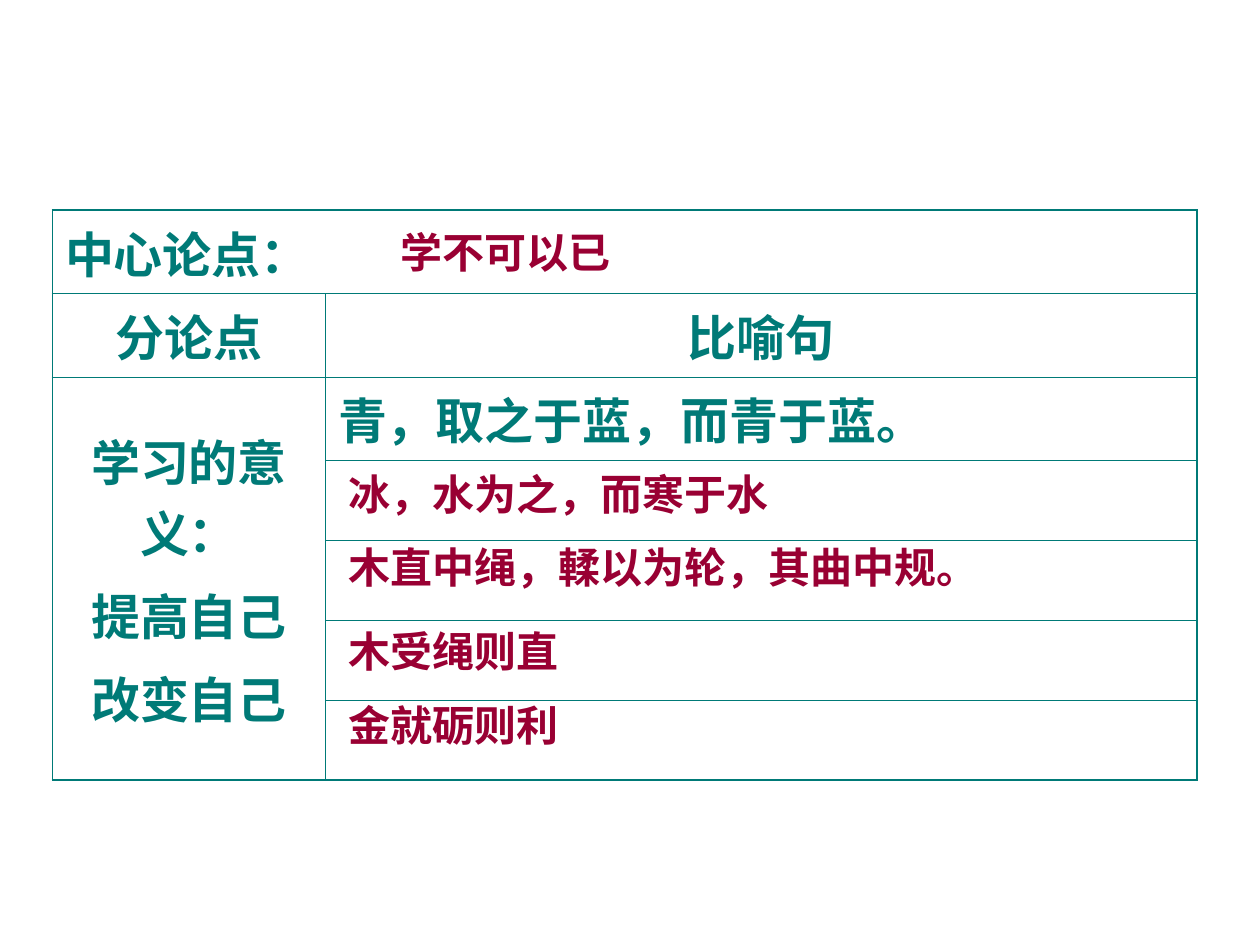
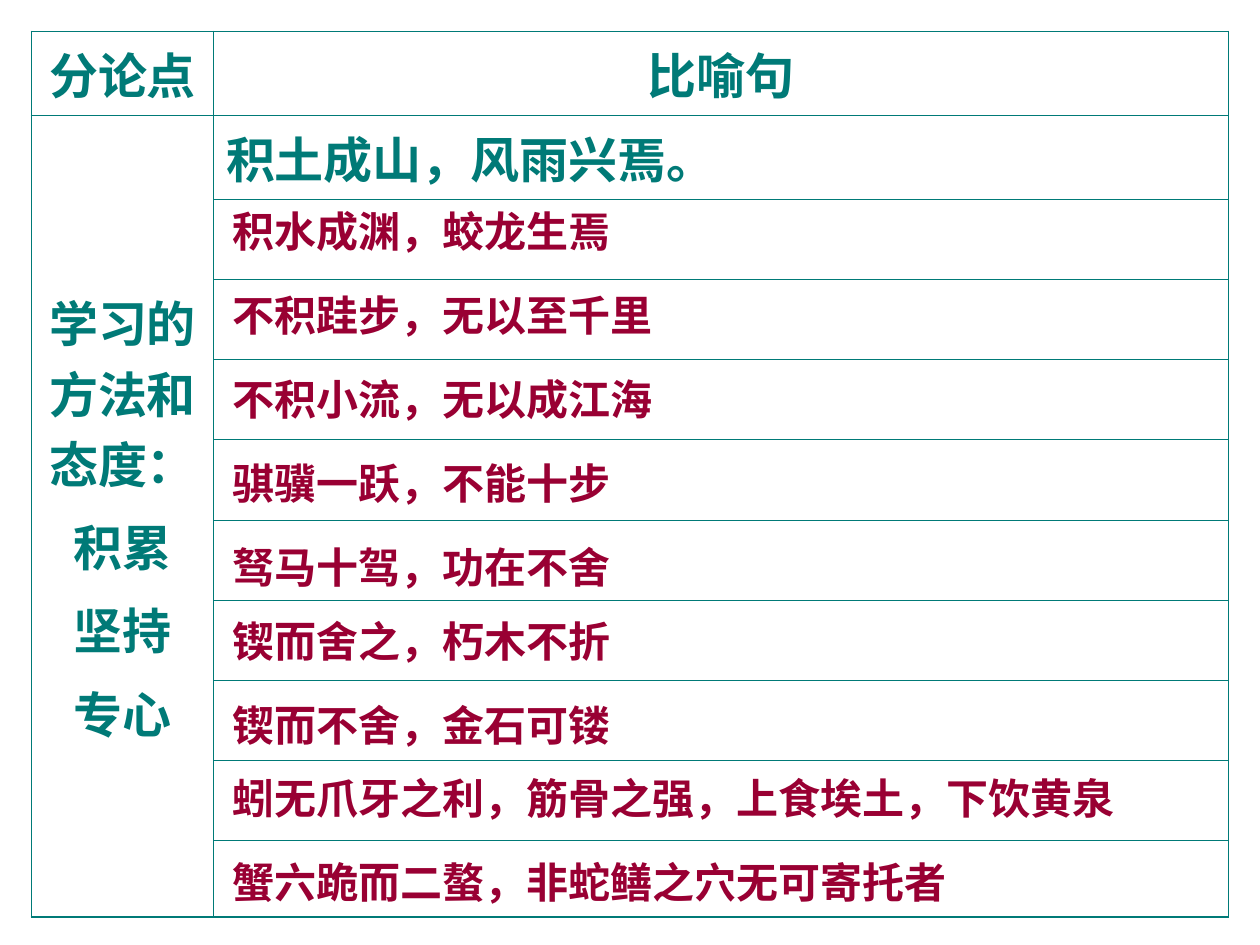
from dataclasses import dataclass

from pptx import Presentation
from pptx.dml.color import RGBColor
from pptx.enum.text import MSO_ANCHOR, MSO_AUTO_SIZE, PP_ALIGN
from pptx.oxml import parse_xml
from pptx.oxml.ns import nsdecls
from pptx.slide import Slide
from pptx.table import Table, _Cell
from pptx.text.text import TextFrame
from pptx.util import Pt

TEAL = RGBColor(0x00, 0x7A, 0x77)
CRIMSON = RGBColor(0x99, 0x00, 0x33)
CELL_FONT, ANSWER_FONT = "Arial", "Times New Roman"
CELL_SIZE, ANSWER_SIZE = Pt(28), Pt(24)
PARAGRAPH_GAP = Pt(7)
OUTER_LINE, INNER_LINE = Pt(1.08), Pt(0.45)
ANSWER_HEIGHT = Pt(36)
PLAIN_GRID = "{2D5ABB26-0587-4C30-8999-92F81FD0307C}"


@dataclass(frozen=True)
class Entry:
    row: int
    column: int
    text: str
    align: PP_ALIGN = PP_ALIGN.CENTER
    rows: int = 1
    columns: int = 1


@dataclass(frozen=True)
class Answer:
    left: float
    top: float
    width: float
    text: str


@dataclass(frozen=True)
class Outline:
    left: float
    top: float
    columns: tuple[float, ...]
    rows: tuple[float, ...]
    entries: tuple[Entry, ...]
    answers: tuple[Answer, ...]


def headings(row: int) -> tuple[Entry, Entry]:
    return Entry(row, 0, "分论点"), Entry(row, 1, "比喻句")


MEANING = Outline(
    30, 120, (156, 498), (47.7,) * 3 + (45.7,) * 4,
    (
        Entry(0, 0, "中心论点：", PP_ALIGN.LEFT, columns=2),
        *headings(1),
        Entry(2, 0, "学习的意义：\n提高自己\n改变自己", rows=5),
        Entry(2, 1, "青，取之于蓝，而青于蓝。", PP_ALIGN.LEFT),
    ),
    (
        Answer(222, 126, 198, "学不可以已"),
        Answer(192, 264, 264, "冰，水为之，而寒于水"),
        Answer(192, 306, 384, "木直中绳，輮以为轮，其曲中规。"),
        Answer(192, 354, 156, "木受绳则直"),
        Answer(192, 396, 156, "金就砺则利"),
    ),
)

METHOD = Outline(
    18, 18, (104, 580), (48, 47.8) + (45.85,) * 8 + (43.7,),
    (
        *headings(0),
        Entry(1, 0, "学习的方法和态度：\n积累\n坚持\n专心", rows=10),
        Entry(1, 1, "积土成山，风雨兴焉。", PP_ALIGN.LEFT),
    ),
    (
        Answer(126, 114, 288, "积水成渊，蛟龙生焉"),
        Answer(126, 162, 294, "不积跬步，无以至千里"),
        Answer(126, 210, 288, "不积小流，无以成江海"),
        Answer(126, 258, 276, "骐骥一跃，不能十步"),
        Answer(126, 306, 264, "驽马十驾，功在不舍"),
        Answer(126, 348, 270, "锲而舍之，朽木不折"),
        Answer(126, 396, 240, "锲而不舍，金石可镂"),
        Answer(126, 438, 534, "蚓无爪牙之利，筋骨之强，上食埃土，下饮黄泉"),
        Answer(126, 486, 552, "蟹六跪而二螯，非蛇鳝之穴无可寄托者"),
    ),
)


def write(frame: TextFrame, text: str, font: str, size: Pt, color: RGBColor,
          align: PP_ALIGN = PP_ALIGN.LEFT) -> None:
    frame.text = text
    for index, paragraph in enumerate(frame.paragraphs):
        paragraph.alignment = align
        paragraph._p.get_or_add_pPr().set("hangingPunct", "0")
        if index:
            paragraph.space_before = PARAGRAPH_GAP
        for run in paragraph.runs:
            run.font.name = font
            run.font.size = size
            run.font.bold = True
            run.font.color.rgb = color


def add_border(cell: _Cell, side: str, width: int) -> None:
    cell._tc.get_or_add_tcPr().append(parse_xml(
        f'<a:ln{side} {nsdecls("a")} w="{width}"><a:solidFill>'
        f'<a:srgbClr val="{TEAL}"/></a:solidFill></a:ln{side}>'
    ))


def rule_cells(table: Table) -> None:
    last_row, last_column = len(table.rows), len(table.columns)
    for row in range(last_row):
        for column in range(last_column):
            cell = table.cell(row, column)
            bottom = row + (cell.span_height if cell.is_merge_origin else 1)
            right = column + (cell.span_width if cell.is_merge_origin else 1)
            edges = {
                "L": column == 0,
                "R": right == last_column,
                "T": row == 0,
                "B": bottom == last_row,
            }
            for side, is_outer in edges.items():
                if is_outer or not cell.is_spanned:
                    add_border(cell, side, OUTER_LINE if is_outer else INNER_LINE)
            cell.fill.background()


def add_outline_table(slide: Slide, outline: Outline) -> None:
    frame = slide.shapes.add_table(
        len(outline.rows), len(outline.columns), Pt(outline.left), Pt(outline.top),
        Pt(sum(outline.columns)), Pt(sum(outline.rows)),
    )
    table = frame.table
    table.first_row = table.horz_banding = False
    table._tbl.tblPr.find("{*}tableStyleId").text = PLAIN_GRID
    for column, width in zip(table.columns, outline.columns):
        column.width = Pt(width)
    for row, height in zip(table.rows, outline.rows):
        row.height = Pt(height)
    for entry in outline.entries:
        cell = table.cell(entry.row, entry.column)
        if entry.rows * entry.columns > 1:
            cell.merge(table.cell(entry.row + entry.rows - 1,
                                  entry.column + entry.columns - 1))
        if entry.column == 0:
            cell.vertical_anchor = MSO_ANCHOR.MIDDLE
        write(cell.text_frame, entry.text, CELL_FONT, CELL_SIZE, TEAL, entry.align)
    rule_cells(table)


def add_answer(slide: Slide, answer: Answer) -> None:
    frame = slide.shapes.add_textbox(
        Pt(answer.left), Pt(answer.top), Pt(answer.width), ANSWER_HEIGHT
    ).text_frame
    frame.word_wrap = True
    frame.auto_size = MSO_AUTO_SIZE.SHAPE_TO_FIT_TEXT
    write(frame, answer.text, ANSWER_FONT, ANSWER_SIZE, CRIMSON)


def main() -> None:
    deck = Presentation()
    deck.slide_width, deck.slide_height = Pt(720), Pt(540)
    for outline in (MEANING, METHOD):
        slide = deck.slides.add_slide(deck.slide_layouts[6])
        add_outline_table(slide, outline)
        for answer in outline.answers:
            add_answer(slide, answer)
    deck.save("out.pptx")


if __name__ == "__main__":
    main()
